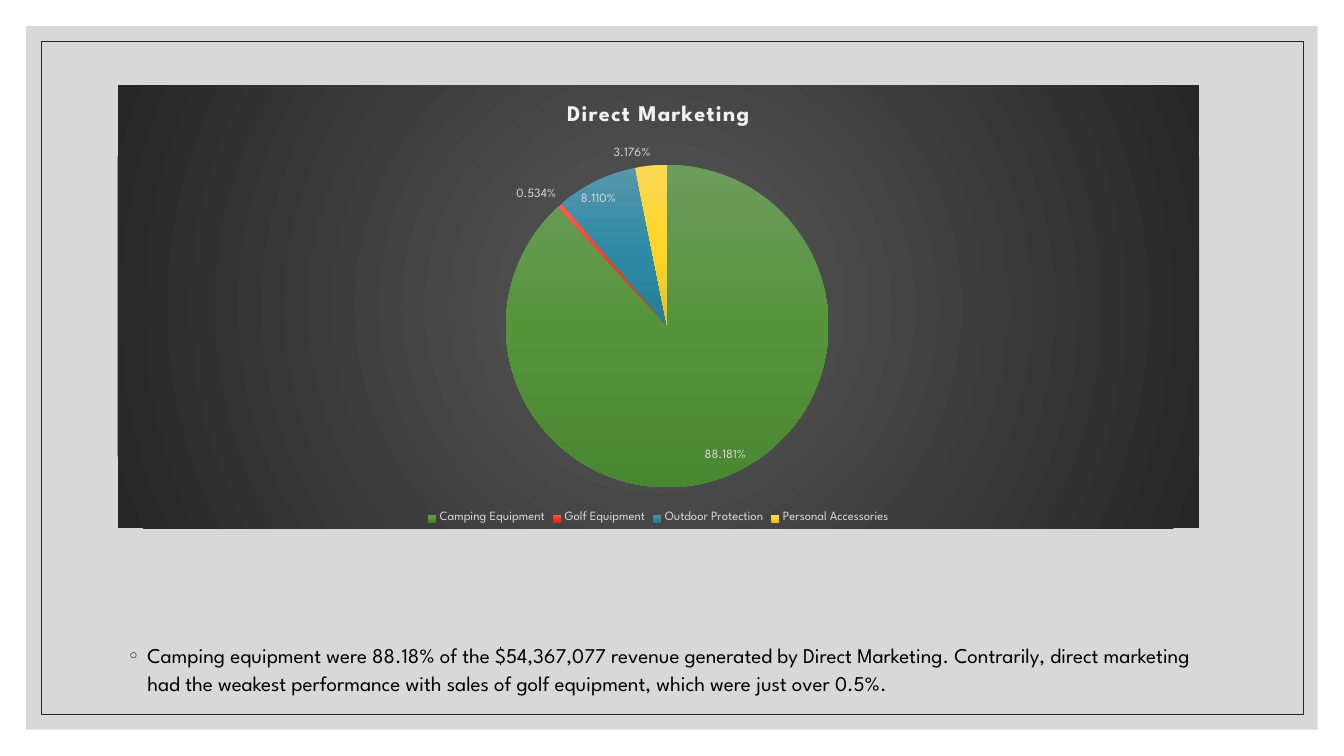
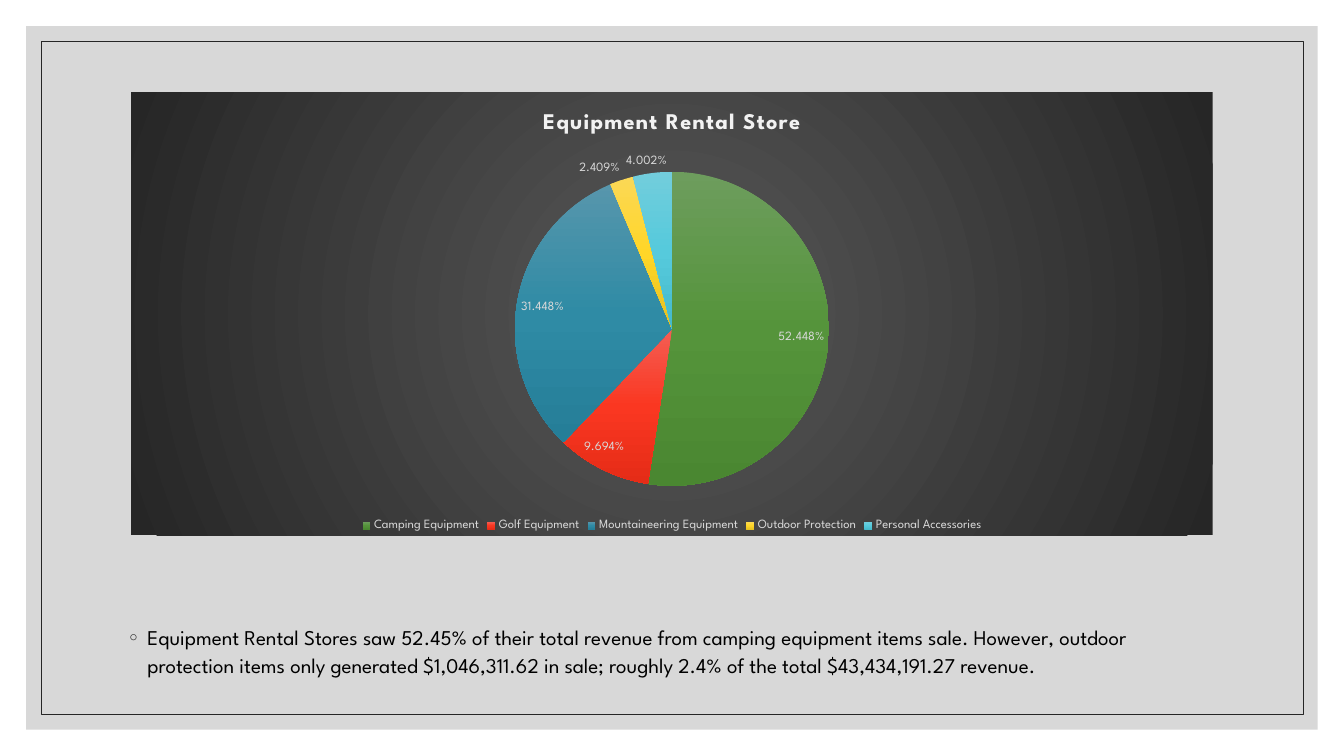
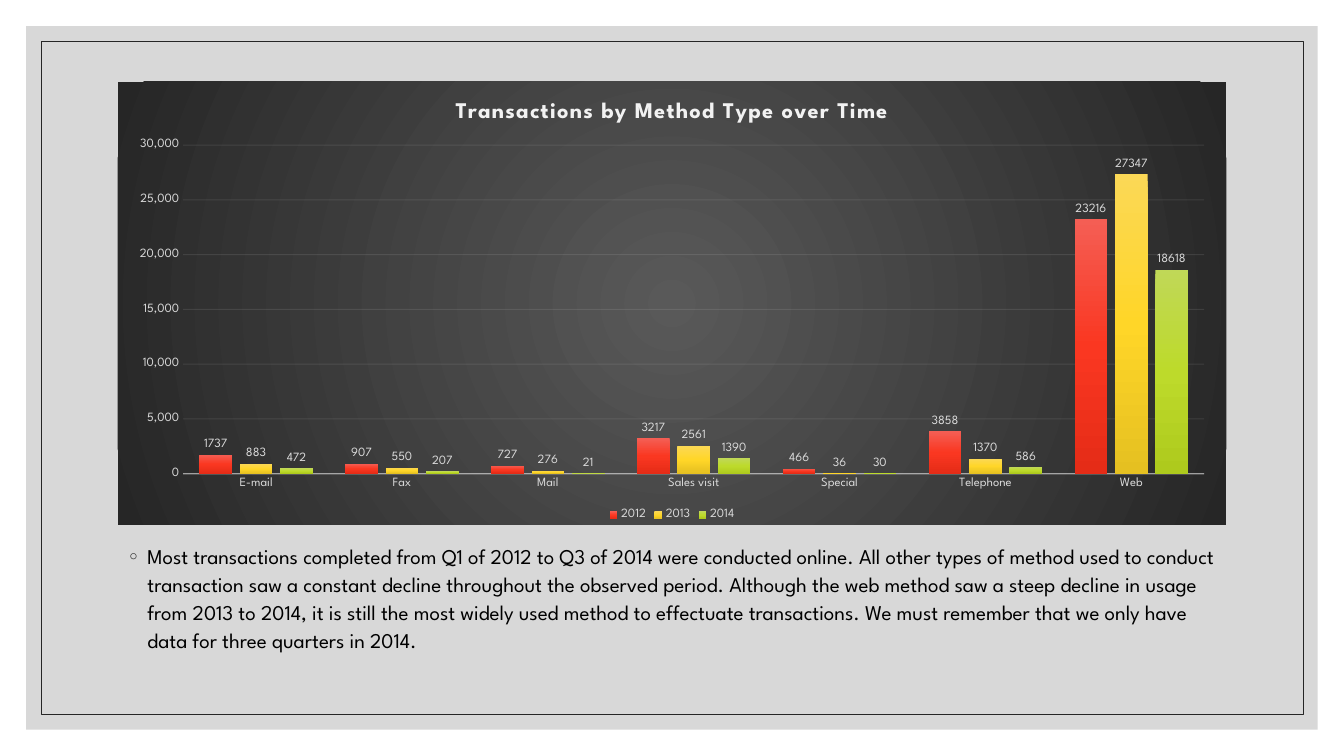
from lxml.etree import SubElement
from pptx import Presentation
from pptx.chart.data import CategoryChartData
from pptx.dml.color import RGBColor
from pptx.enum.chart import XL_CHART_TYPE as Kind
from pptx.enum.chart import XL_LABEL_POSITION as LabelSpot
from pptx.enum.chart import XL_LEGEND_POSITION as LegendSpot
from pptx.enum.chart import XL_TICK_MARK as Tick
from pptx.enum.shapes import MSO_SHAPE as Preset
from pptx.oxml import parse_xml
from pptx.oxml.ns import nsdecls, qn
from pptx.util import Pt

FONT = "League Spartan"
PALE, MUTED, DARK, BLACK = "F2F2F2", "D9D9D9", "262626", "000000"
LEFT, BODY_WIDTH = 112, 1056
PIE_WIDTH, CHART_HEIGHT = 1030, 422

GREEN = ("6D9D5D", "55943B", "4A8731")
RED = ("F45E54", "FA3721", "E52C17")
BLUE = ("5796AC", "2F8BA5", "257E98")
YELLOW = ("FBD856", "FFD628", "E5C021")
CYAN = ("72CDDC", "56CADC", "45B9CB")
LIME = ("C0D857", "BDDA2B", "AECA1D")
BACKDROP = ("595959", DARK)
RADIAL = ('<a:path path="circle"><a:fillToRect l="50000" t="50000" '
          'r="50000" b="50000"/></a:path>')
DOWNWARD = '<a:lin ang="5400000" scaled="0"/>'


def px(*lengths):
    """Turn px into EMU."""
    return [length * 9525 for length in lengths]


def rgb(code):
    """Turn a hex string into a colour."""
    return RGBColor.from_string(code)


def style_font(font, size, color, bold=False):
    """Give a font the deck's typeface, a size and a colour."""
    font.name, font.size, font.bold = FONT, Pt(size), bold
    font.color.rgb = rgb(color)


def fade(element, percent):
    """Set the opacity of every plain colour inside an element."""
    for color in element.iter(qn("a:srgbClr")):
        SubElement(color, qn("a:alpha")).set("val", str(percent * 1000))


def gradient_xml(ramp, direction):
    """Write a gradient with evenly spaced stops."""
    step = 100000 // (len(ramp) - 1)
    stops = "".join(f'<a:gs pos="{i * step}"><a:srgbClr val="{color}"/></a:gs>'
                    for i, color in enumerate(ramp))
    return (f'<a:gradFill {nsdecls("a")} rotWithShape="1">'
            f'<a:gsLst>{stops}</a:gsLst>{direction}</a:gradFill>')


def paint(chart, parts, ramps, query):
    """Fill points or series, found by the query, with vertical gradients."""
    for part, ramp in zip(parts, ramps):
        part.format.fill.solid()
        part.format.fill.fore_color.rgb = rgb(ramp[1])
    for properties, ramp in zip(chart.element.xpath(query), ramps):
        solid = properties.find(qn("a:solidFill"))
        properties.replace(solid, parse_xml(gradient_xml(ramp, DOWNWARD)))


def add_frame(slide, layout):
    """Put the grey panel and its thin border on the layout."""
    for placeholder in list(layout.placeholders):
        layout.shapes.element.remove(placeholder.element)
    panel = slide.shapes.add_shape(Preset.RECTANGLE, *px(25, 25, 1230, 670))
    panel.fill.solid()
    panel.fill.fore_color.rgb = rgb("BFBFBF")
    panel.line.fill.background()
    fade(panel.element, 60)
    border = slide.shapes.add_shape(Preset.RECTANGLE, *px(39, 39, 1202, 641))
    border.fill.background()
    border.line.color.rgb = rgb(DARK)
    border.line.width = Pt(0.5)
    for part in (panel, border):
        part.shadow.inherit = False
        layout.shapes.element.append(part.element)


def add_finding(slide, top, height, wording):
    """Add the bulleted paragraph below a chart."""
    box = slide.shapes.add_textbox(*px(LEFT, top, BODY_WIDTH, height))
    box.text_frame.word_wrap = True
    paragraph = box.text_frame.paragraphs[0]
    paragraph.line_spacing = 1.1
    paragraph.space_before = Pt(9)
    run = paragraph.add_run()
    run.text = wording
    style_font(run.font, 15, BLACK)
    properties = box.element.xpath(".//a:pPr")[0]
    indent, = px(19)
    properties.set("marL", str(indent))
    properties.set("indent", str(-indent))
    bullet_color = SubElement(properties, qn("a:buClr"))
    SubElement(bullet_color, qn("a:srgbClr")).set("val", DARK)
    SubElement(properties, qn("a:buFont")).set("typeface", "Garamond")
    SubElement(properties, qn("a:buChar")).set("char", "◦")


def add_dark_chart(slide, kind, bounds, title, categories, series):
    """Add a chart with title and bottom legend on a dark backdrop."""
    data = CategoryChartData()
    data.categories = categories
    for name, values in series.items():
        data.add_series(name, values)
    chart = slide.shapes.add_chart(kind, *px(*bounds), data).chart
    style_font(chart.font, 10, BLACK)
    chart.has_title = True
    heading = chart.chart_title.text_frame.paragraphs[0].add_run()
    heading.text = title
    style_font(heading.font, 16, PALE, bold=True)
    chart.element.xpath(".//c:title//a:rPr")[0].set("spc", "100")
    chart.chart_title.include_in_layout = False
    chart.has_legend = True
    chart.legend.position = LegendSpot.BOTTOM
    chart.legend.include_in_layout = False
    style_font(chart.legend.font, 9, MUTED)
    backdrop = parse_xml(f'<c:spPr {nsdecls("c", "a")}>'
                         f'{gradient_xml(BACKDROP, RADIAL)}'
                         '<a:ln><a:noFill/></a:ln></c:spPr>')
    chart.element.find(qn("c:txPr")).addprevious(backdrop)
    return chart


def add_share_pie(slide, left, top, title, shares, ramps):
    """Add a pie of revenue shares, in percent, by product line."""
    chart = add_dark_chart(slide, Kind.PIE, (left, top, PIE_WIDTH, CHART_HEIGHT),
                           title, list(shares), {"Series 1": list(shares.values())})
    plot = chart.plots[0]
    plot.vary_by_categories = True
    revenue = plot.series[0]
    slices = [revenue.points[i] for i in range(len(shares))]
    paint(chart, slices, ramps, ".//c:dPt/c:spPr")
    labels = revenue.data_labels
    labels.show_value = True
    labels.number_format = '0.000"%"'
    labels.number_format_is_linked = False
    labels.position = LabelSpot.BEST_FIT
    style_font(labels.font, 9, MUTED)


def add_year_columns(slide, top, title, methods, years, ramps):
    """Add clustered columns of yearly transactions by method."""
    chart = add_dark_chart(slide, Kind.COLUMN_CLUSTERED,
                           (LEFT, top, BODY_WIDTH, CHART_HEIGHT),
                           title, methods, years)
    plot = chart.plots[0]
    plot.vary_by_categories = False
    plot.gap_width, plot.overlap = 100, -24
    paint(chart, plot.series, ramps, ".//c:ser/c:spPr")
    for year in plot.series:
        labels = year.data_labels
        labels.show_value = True
        labels.position = LabelSpot.OUTSIDE_END
        style_font(labels.font, 9, MUTED)
    method_axis, count_axis = chart.category_axis, chart.value_axis
    for axis in (method_axis, count_axis):
        axis.major_tick_mark = axis.minor_tick_mark = Tick.NONE
        style_font(axis.tick_labels.font, 9, MUTED)
    count_axis.minimum_scale, count_axis.maximum_scale = 0, 30000
    count_axis.major_unit = 5000
    count_axis.tick_labels.number_format = "#,##0;\\-#,##0"
    count_axis.tick_labels.number_format_is_linked = False
    count_axis.format.line.fill.background()
    rules = ((method_axis.format.line, 1, 54, ".//c:catAx/c:spPr"),
             (count_axis.major_gridlines.format.line, 0.75, 10,
              ".//c:majorGridlines/c:spPr"))
    for line, width, opacity, query in rules:
        line.color.rgb = rgb(PALE)
        line.width = Pt(width)
        fade(chart.element.xpath(query)[0], opacity)


def main():
    """Build and save the three slides."""
    deck = Presentation()
    deck.slide_width, deck.slide_height = px(1280, 720)
    layout = deck.slide_layouts[6]
    direct, rental, methods = [deck.slides.add_slide(layout) for _ in range(3)]
    add_frame(direct, layout)

    add_finding(direct, 605, 68,
                "Camping equipment were 88.18% of the $54,367,077 revenue generated by "
                "Direct Marketing. Contrarily, direct marketing had the weakest "
                "performance with sales of golf equipment, which were just over 0.5%.")
    add_share_pie(direct, LEFT, 81, "Direct Marketing",
                  {"Camping Equipment": 88.181, "Golf Equipment": 0.534,
                   "Outdoor Protection": 8.11, "Personal Accessories": 3.176},
                  (GREEN, RED, BLUE, YELLOW))

    add_finding(rental, 588, 90,
                "Equipment Rental Stores saw 52.45% of their total revenue from camping "
                "equipment items sale. However, outdoor protection items only generated "
                "$1,046,311.62 in sale; roughly 2.4% of the total $43,434,191.27 revenue.")
    add_share_pie(rental, 125, 88, "Equipment Rental Store",
                  {"Camping Equipment": 52.448, "Golf Equipment": 9.694,
                   "Mountaineering Equipment": 31.448, "Outdoor Protection": 2.409,
                   "Personal Accessories": 4.002},
                  (GREEN, RED, BLUE, YELLOW, CYAN))

    add_finding(methods, 511, 114,
                "Most transactions completed from Q1 of 2012 to Q3 of 2014 were conducted "
                "online. All other types of method used to conduct transaction saw a "
                "constant decline throughout the observed period. Although the web method "
                "saw a steep decline in usage from 2013 to 2014, it is still the most "
                "widely used method to effectuate transactions. We must remember that we "
                "only have data for three quarters in 2014.")
    add_year_columns(methods, 78, "Transactions by Method Type over Time",
                     ("E-mail", "Fax", "Mail", "Sales visit", "Special", "Telephone",
                      "Web"),
                     {"2012": (1737, 907, 727, 3217, 466, 3858, 23216),
                      "2013": (883, 550, 276, 2561, 36, 1370, 27347),
                      "2014": (472, 207, 21, 1390, 30, 586, 18618)},
                     (RED, YELLOW, LIME))
    deck.save("out.pptx")


if __name__ == "__main__":
    main()
